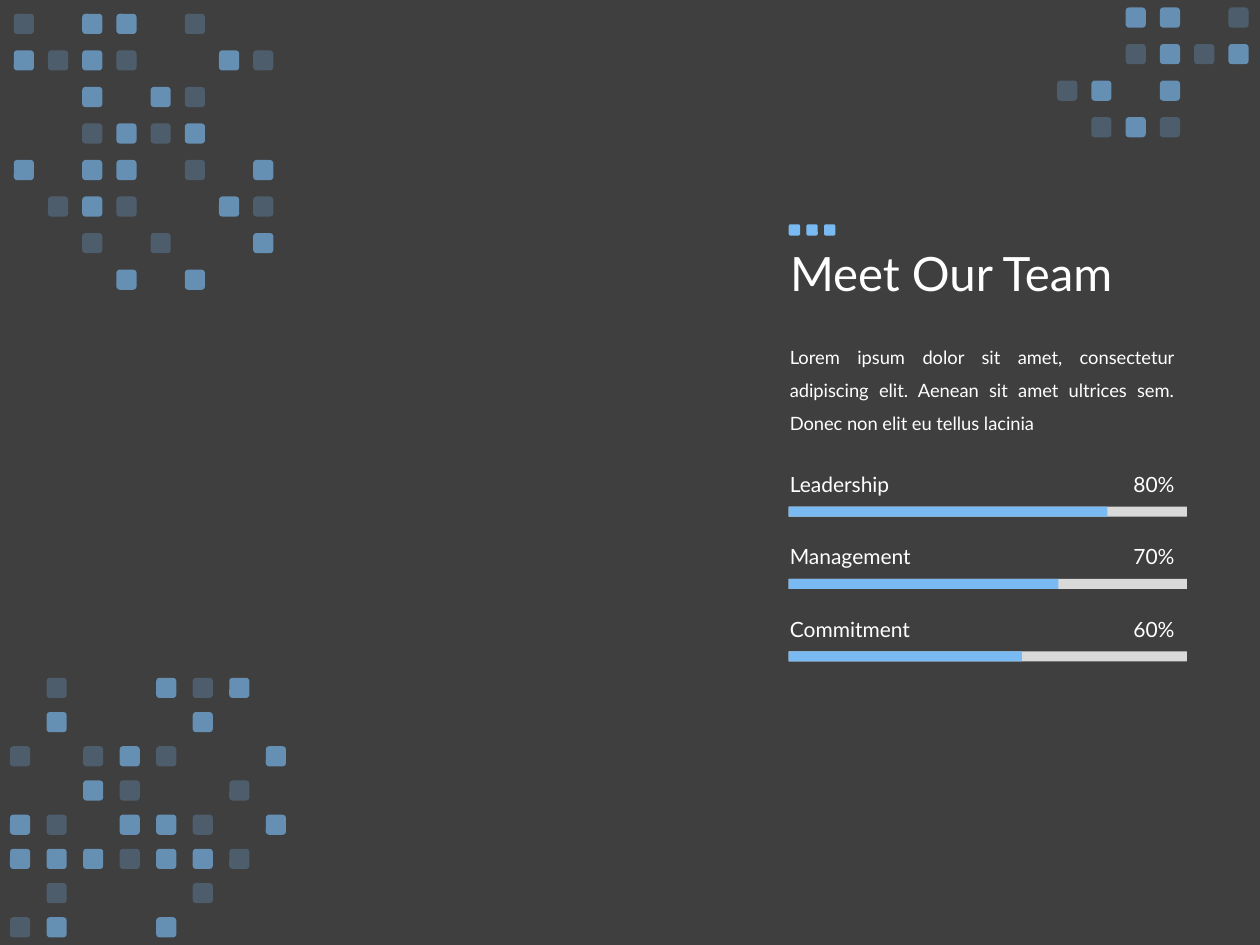
from lxml import etree
from pptx import Presentation
from pptx.dml.color import RGBColor
from pptx.enum.shapes import MSO_SHAPE
from pptx.enum.text import MSO_ANCHOR, MSO_AUTO_SIZE, PP_ALIGN
from pptx.oxml.ns import qn
from pptx.util import Inches, Pt

RECTANGLE, ROUNDED = MSO_SHAPE.RECTANGLE, MSO_SHAPE.ROUNDED_RECTANGLE
TOP, MIDDLE = MSO_ANCHOR.TOP, MSO_ANCHOR.MIDDLE
LEFT, RIGHT, JUSTIFY = PP_ALIGN.LEFT, PP_ALIGN.RIGHT, PP_ALIGN.JUSTIFY
FIXED, GROW = MSO_AUTO_SIZE.NONE, MSO_AUTO_SIZE.SHAPE_TO_FIT_TEXT

FONT = "Lato"
COLORS = {"background": "3F3F3F", "accent": "7ABAF2", "track": "D9D9D9", "text": "FFFFFF"}
TITLE = "Meet Our Team"
INTRO = ("Lorem ipsum dolor sit amet, consectetur adipiscing elit. "
         "Aenean sit amet ultrices sem. Donec non elit eu tellus lacinia")
SKILLS = [("Leadership", "80%", 2.53), ("Management", "70%", 2.14), ("Commitment", "60%", 1.85)]

OPACITY = {"#": 65, "o": 25}
MOSAICS = [
    {"first": (0.11, 0.11), "last": (2.01, 2.14), "rows": [
        "o.##.o..", "#o#o..#o", "..#.#o..", "..o#o#..",
        "#.##.o.#", ".o#o..#o", "..o.o..#", "...#.#.."]},
    {"first": (0.08, 5.38), "last": (2.11, 7.28), "rows": [
        ".o..#o#.", ".#...#..", "o.o#o..#", "..#o..o.",
        "#o.##o.#", "###o##o.", ".o...o..", "o#..#..."]},
    {"first": (8.39, 0.06), "last": (9.75, 0.93), "rows": [
        "..##.o", "..o#o#", "o#.#..", ".o#o.."]},
]
TILE = 0.16
DOT, DOT_STEP, DOT_TOP = 0.09, 0.14, 1.78
TEXT_LEFT, BAR_LEFT, BAR_WIDTH, BAR_HEIGHT = 6.17, 6.26, 3.16, 0.08
RIGHT_EDGE = BAR_LEFT + BAR_WIDTH
LABEL_WIDTH, PERCENT_WIDTH, LABEL_HEIGHT = 1.55, 0.79, 0.3
FIRST_LABEL, LAST_LABEL, BAR_DROP = 3.69, 4.84, 0.33


def add_block(shapes, kind, left, top, width, height, color, opacity=100):
    """Add a borderless filled block."""
    block = shapes.add_shape(kind, Inches(left), Inches(top), Inches(width), Inches(height))
    block.shadow.inherit = False
    block.line.fill.background()
    block.fill.solid()
    block.fill.fore_color.rgb = RGBColor.from_string(COLORS[color])
    if opacity < 100:
        tint = block.fill._xPr.find(qn("a:solidFill"))[0]
        etree.SubElement(tint, qn("a:alpha"), val=str(opacity * 1000))


def add_mosaic(shapes, first, last, rows):
    """Add a group of tiles spread evenly between the first and last corners."""
    group = shapes.add_group_shape()
    x_step = (last[0] - first[0]) / (len(rows[0]) - 1)
    y_step = (last[1] - first[1]) / (len(rows) - 1)
    for r, row in enumerate(rows):
        for c, mark in enumerate(row):
            if mark in OPACITY:
                add_block(group.shapes, ROUNDED, first[0] + c * x_step,
                          first[1] + r * y_step, TILE, TILE, "accent", OPACITY[mark])


def write(frame, words, size, align=LEFT, anchor=MIDDLE, spacing=1.0, fit=GROW):
    """Fill a text frame with one formatted paragraph."""
    frame.text = words
    frame.word_wrap = True
    frame.auto_size = fit
    frame.vertical_anchor = anchor
    paragraph = frame.paragraphs[0]
    paragraph.alignment = align
    paragraph.line_spacing = spacing
    paragraph.font.name = FONT
    paragraph.font.size = Pt(size)
    paragraph.font.color.rgb = RGBColor.from_string(COLORS["text"])


def add_text(shapes, left, top, width, height, words, size, **style):
    """Add a text box with one paragraph."""
    box = shapes.add_textbox(Inches(left), Inches(top), Inches(width), Inches(height))
    write(box.text_frame, words, size, **style)


def main():
    """Build and save the team slide."""
    deck = Presentation()
    deck.slide_width, deck.slide_height = Inches(10), Inches(7.5)
    slide = deck.slides.add_slide(deck.slide_layouts[5])
    slide.background.fill.solid()
    slide.background.fill.fore_color.rgb = RGBColor.from_string(COLORS["background"])
    shapes = slide.shapes

    for mosaic in MOSAICS:
        add_mosaic(shapes, **mosaic)

    title = shapes.title
    title.left, title.top = Inches(TEXT_LEFT), Inches(1.47)
    title.width, title.height = Inches(8.62), Inches(1.45)
    write(title.text_frame, TITLE, 27, spacing=0.9, fit=FIXED)
    add_text(shapes, TEXT_LEFT, 2.61, RIGHT_EDGE - TEXT_LEFT, 0.86, INTRO, 10.5,
             align=JUSTIFY, anchor=TOP, spacing=1.5)

    pitch = (LAST_LABEL - FIRST_LABEL) / (len(SKILLS) - 1)
    for i, (skill, percent, filled) in enumerate(SKILLS):
        top = FIRST_LABEL + i * pitch
        add_text(shapes, TEXT_LEFT, top, LABEL_WIDTH, LABEL_HEIGHT, skill, 12)
        add_text(shapes, RIGHT_EDGE - PERCENT_WIDTH, top, PERCENT_WIDTH, LABEL_HEIGHT,
                 percent, 12, align=RIGHT)
        for width, color in ((BAR_WIDTH, "track"), (filled, "accent")):
            add_block(shapes, RECTANGLE, BAR_LEFT, top + BAR_DROP, width, BAR_HEIGHT, color)

    dots = shapes.add_group_shape()
    for i in range(3):
        add_block(dots.shapes, ROUNDED, BAR_LEFT + i * DOT_STEP, DOT_TOP, DOT, DOT, "accent")

    deck.save("out.pptx")


if __name__ == "__main__":
    main()
